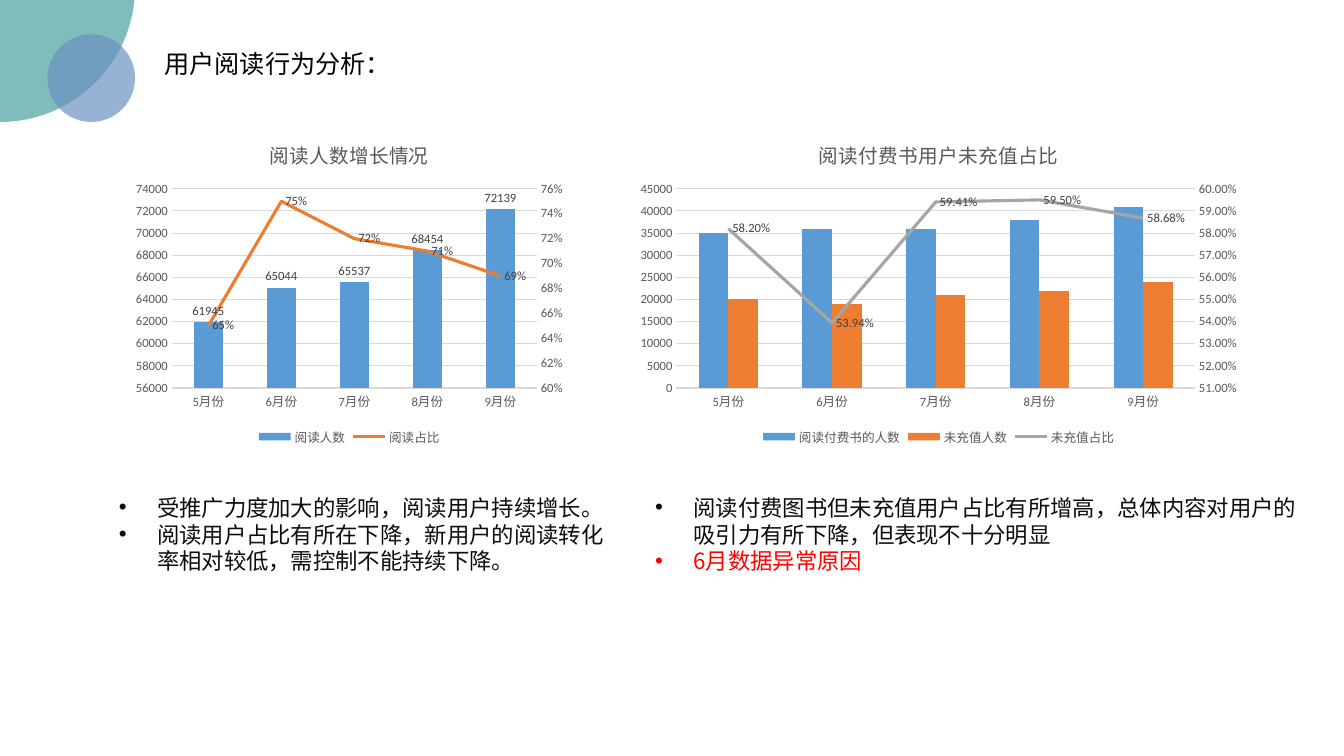
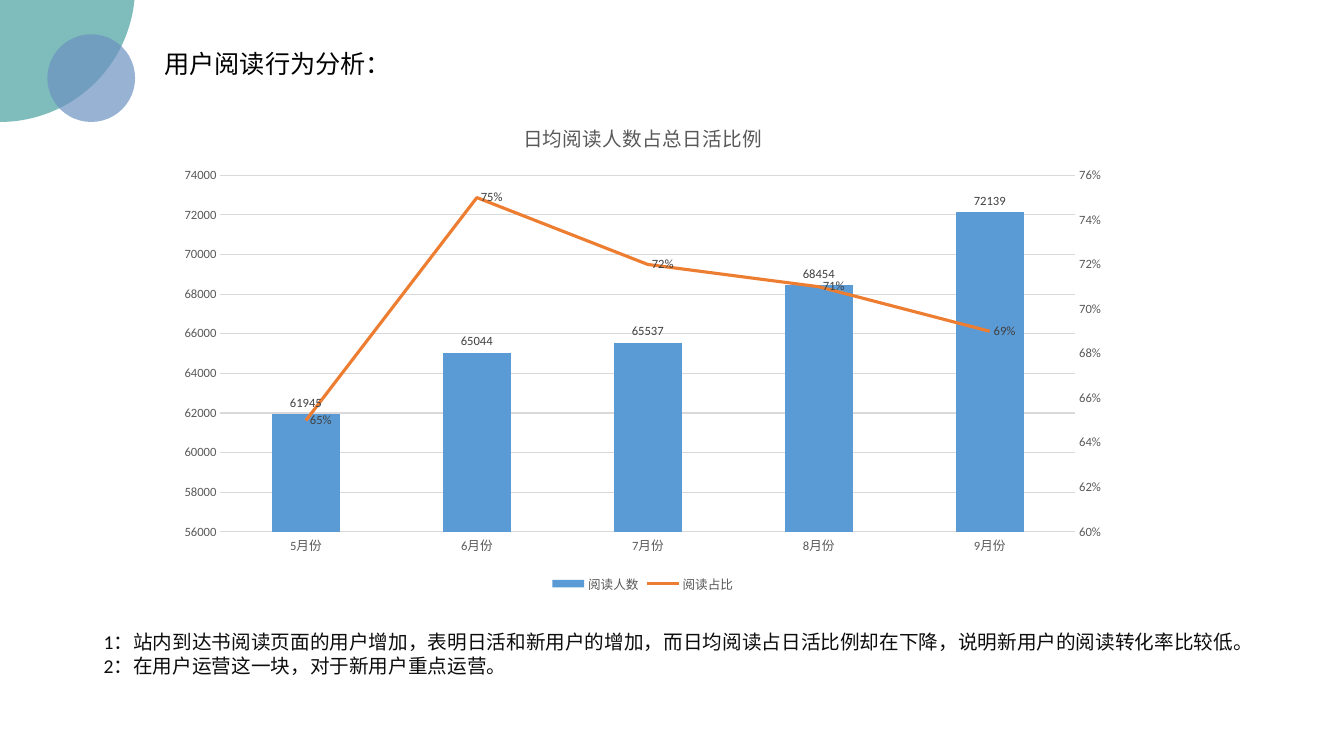
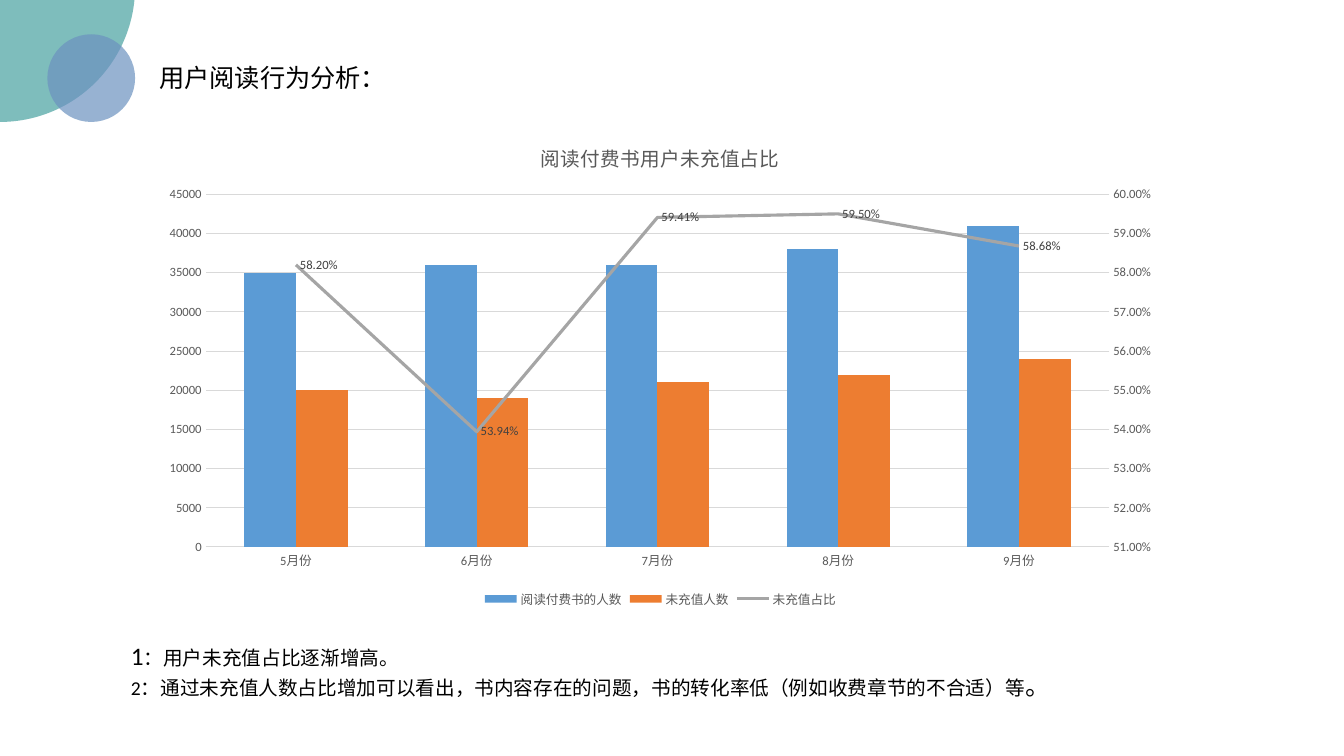
from copy import deepcopy
from dataclasses import dataclass

from lxml.etree import SubElement
from pptx import Presentation
from pptx.chart.axis import CategoryAxis, ValueAxis
from pptx.chart.data import CategoryChartData
from pptx.dml.color import RGBColor
from pptx.enum.chart import XL_CHART_TYPE as ChartType
from pptx.enum.chart import XL_LABEL_POSITION as LabelPosition
from pptx.enum.chart import XL_LEGEND_POSITION as LegendPosition
from pptx.enum.chart import XL_MARKER_STYLE as MarkerStyle
from pptx.enum.chart import XL_TICK_MARK as TickMark
from pptx.enum.shapes import MSO_SHAPE as Shape
from pptx.enum.text import MSO_ANCHOR as Anchor
from pptx.enum.text import MSO_AUTO_SIZE as AutoSize
from pptx.enum.text import PP_ALIGN as Align
from pptx.oxml import parse_xml
from pptx.oxml.ns import nsdecls, qn
from pptx.util import Inches, Pt

LATIN, CHINESE = "Calibri", "Noto Sans CJK SC"
TEAL, BLUE = "48A2A0", "6C92C0"
BLACK, INK, RED = "000000", "0D0D0D", "FF0000"
GREY, LABEL_GREY, GRID_GREY = "595959", "404040", "D9D9D9"
SERIES_COLORS = ["5B9BD5", "ED7D31", "A5A5A5"]
MONTHS = ["5月份", "6月份", "7月份", "8月份", "9月份"]
TITLE = "用户阅读行为分析："


@dataclass
class Combo:
    """Bars on the left axis and one line on the right axis."""
    bars: dict
    line_name: str
    shares: list
    share_format: str
    left_scale: tuple
    right_scale: tuple
    label_bars: bool = False


READERS = Combo(
    {"阅读人数": [61945, 65044, 65537, 68454, 72139]},
    "阅读占比", [0.65, 0.75, 0.72, 0.71, 0.69], "0%",
    (56000, 74000, 2000), (0.6, 0.76, 0.02), True)
UNPAID = Combo(
    {"阅读付费书的人数": [35000, 36000, 36000, 38000, 41000],
     "未充值人数": [20000, 19000, 21000, 22000, 24000]},
    "未充值占比", [0.582, 0.5394, 0.5941, 0.595, 0.5868], "0.00%",
    (0, 45000, 5000), (0.51, 0.6, 0.01))


def rgb(color):
    """Turn a hex string into a colour."""
    return RGBColor.from_string(color)


def set_font(font, size, color, name=LATIN):
    """Set size, colour and typeface of a font."""
    font.size, font.name = Pt(size), name
    font.color.rgb = rgb(color)


def add_circle(page, left, top, size, color):
    """Add a translucent circle."""
    circle = page.shapes.add_shape(
        Shape.OVAL, Inches(left), Inches(top), Inches(size), Inches(size))
    circle.shadow.inherit = False
    circle.line.fill.background()
    circle.fill.solid()
    circle.fill.fore_color.rgb = rgb(color)
    fill_color = circle._element.spPr.find(".//" + qn("a:srgbClr"))
    SubElement(fill_color, qn("a:alpha"), val="70000")


def add_page(deck, title_left=1.53, title_top=0.43):
    """Add a slide with corner circles and the shared title."""
    page = deck.slides.add_slide(deck.slide_layouts[5])
    add_circle(page, -1.34, -1.47, 2.68, TEAL)
    add_circle(page, 0.47, 0.34, 0.87, BLUE)
    title = page.shapes.title
    title.left, title.top = Inches(title_left), Inches(title_top)
    title.width, title.height = Inches(4.32), Inches(0.4)
    frame = title.text_frame
    frame.text = TITLE
    frame.auto_size = AutoSize.NONE
    frame.vertical_anchor = Anchor.TOP
    para = frame.paragraphs[0]
    para.alignment = Align.LEFT
    set_font(para.font, 18, BLACK)
    return page


def add_frame(page, box):
    """Add a wrapping text box and return its frame."""
    frame = page.shapes.add_textbox(*map(Inches, box)).text_frame
    frame.word_wrap = True
    return frame


def next_para(frame, index):
    """Return the first paragraph of a frame, or a new one."""
    return frame.add_paragraph() if index else frame.paragraphs[0]


def add_bullets(page, box, items):
    """Add a bulleted list of (text, colour) items."""
    frame = add_frame(page, box)
    for index, (text, color) in enumerate(items):
        para = next_para(frame, index)
        props = para._p.get_or_add_pPr()
        props.set("marL", str(Inches(0.38)))
        props.set("indent", str(-Inches(0.38)))
        SubElement(props, qn("a:buFont"), typeface="Arial")
        SubElement(props, qn("a:buChar"), char="•")
        para.text = text
        set_font(para.font, 16, color, CHINESE)


def add_remarks(page, box, lines, color):
    """Add lines of text, each a list of (text, size) spans."""
    frame = add_frame(page, box)
    for index, spans in enumerate(lines):
        para = next_para(frame, index)
        set_font(para.font, 14, color)
        for text, size in spans:
            span = para.add_run()
            span.text = text
            if size != 14:
                span.font.size = Pt(size)


def style_axis(axis):
    """Apply the look common to all axes."""
    axis.major_tick_mark = axis.minor_tick_mark = TickMark.NONE
    set_font(axis.tick_labels.font, 9, GREY)


def set_scale(axis, scale):
    """Set minimum, maximum and step of a value axis."""
    axis.minimum_scale, axis.maximum_scale, axis.major_unit = scale


def set_labels(series, position, number_format="General"):
    """Show the values of a series."""
    labels = series.data_labels
    labels.show_value = True
    labels.number_format = number_format
    labels.number_format_is_linked = False
    labels.position = position
    set_font(labels.font, 9, LABEL_GREY)


def move_last_to_right(chart, combo):
    """Turn the last bar series into a line on a right-hand axis."""
    bar_plot = chart.plots[0]._element
    line_plot = parse_xml(
        f'<c:lineChart {nsdecls("c")}><c:grouping val="standard"/>'
        '<c:varyColors val="0"/><c:marker val="1"/>'
        '<c:axId val="5001"/><c:axId val="5002"/></c:lineChart>')
    moved = bar_plot.findall(qn("c:ser"))[-1]
    for bar_only in moved.findall(qn("c:invertIfNegative")):
        moved.remove(bar_only)
    line_plot.insert(2, moved)
    bar_plot.addnext(line_plot)

    left_axis = chart.value_axis._element
    months = deepcopy(chart.category_axis._element)
    right = deepcopy(left_axis)
    left_axis.addnext(months)
    months.addnext(right)
    for element, own, other in ((months, "5001", "5002"),
                                (right, "5002", "5001")):
        element.find(qn("c:axId")).set("val", own)
        element.find(qn("c:crossAx")).set("val", other)
    right.find(qn("c:axPos")).set("val", "r")
    right.find(qn("c:crosses")).set("val", "max")
    CategoryAxis(months).visible = False
    right_axis = ValueAxis(right)
    right_axis.has_major_gridlines = False
    right_axis.tick_labels.number_format = combo.share_format
    right_axis.tick_labels.number_format_is_linked = False
    set_scale(right_axis, combo.right_scale)


def add_combo(page, box, title, combo):
    """Add a combined column and line chart."""
    data = CategoryChartData()
    data.categories = MONTHS
    for name, values in combo.bars.items():
        data.add_series(name, values)
    data.add_series(combo.line_name, combo.shares, combo.share_format)
    chart = page.shapes.add_chart(
        ChartType.COLUMN_CLUSTERED, *map(Inches, box), data).chart
    set_font(chart.font, 10, BLACK)

    chart.has_title = True
    chart.chart_title.include_in_layout = False
    heading = chart.chart_title.text_frame
    heading.text = title
    set_font(heading.paragraphs[0].font, 14, GREY)
    heading.paragraphs[0].font.bold = False
    chart.has_legend = True
    chart.legend.position = LegendPosition.BOTTOM
    chart.legend.include_in_layout = False
    set_font(chart.legend.font, 9, GREY)

    months, counts = chart.category_axis, chart.value_axis
    style_axis(months)
    style_axis(counts)
    months.format.line.color.rgb = rgb(GRID_GREY)
    months.format.line.width = Pt(0.75)
    counts.format.line.fill.background()
    grid = counts.major_gridlines.format.line
    grid.color.rgb, grid.width = rgb(GRID_GREY), Pt(0.75)
    set_scale(counts, combo.left_scale)
    move_last_to_right(chart, combo)

    bars, lines = chart.plots
    bars.gap_width = 150
    bars.vary_by_categories = lines.vary_by_categories = False
    for series, color in zip(bars.series, SERIES_COLORS):
        series.format.fill.solid()
        series.format.fill.fore_color.rgb = rgb(color)
        if combo.label_bars:
            set_labels(series, LabelPosition.OUTSIDE_END)
    share = lines.series[0]
    share.smooth = False
    share.marker.style = MarkerStyle.NONE
    share.format.line.color.rgb = rgb(SERIES_COLORS[len(combo.bars)])
    share.format.line.width = Pt(2.25)
    set_labels(share, LabelPosition.RIGHT, combo.share_format)


def build_overview(deck):
    """Build the slide with two charts side by side."""
    page = add_page(deck)
    add_combo(page, (1.26, 1.22, 4.41, 3.24), "阅读人数增长情况", READERS)
    add_combo(page, (6.23, 1.22, 6.16, 3.24), "阅读付费书用户未充值占比", UNPAID)
    add_bullets(page, (1.08, 4.85, 5.14, 0.91), [
        ("受推广力度加大的影响，阅读用户持续增长。", INK),
        ("阅读用户占比有所在下降，新用户的阅读转化率相对较低，需控制不能持续下降。", INK)])
    add_bullets(page, (6.4, 4.85, 6.67, 0.91), [
        ("阅读付费图书但未充值用户占比有所增高，总体内容对用户的吸引力有所下降，但表现不十分明显", INK),
        ("6月数据异常原因", RED)])


def build_readers(deck):
    """Build the slide on daily readers."""
    page = add_page(deck)
    add_combo(page, (1.64, 1.02, 9.47, 4.9), "日均阅读人数占总日活比例", READERS)
    add_remarks(page, (0.93, 6.2, 11.46, 0.57), [
        [("1：站内到达书阅读页面的用户增加，表明日活和新用户的增加，"
          "而日均阅读占日活比例却在下降，说明新用户的阅读转化率比较低。", 14)],
        [("2：在用户运营这一块，对于新用户重点运营。", 14)]], INK)


def build_unpaid(deck):
    """Build the slide on readers who have not paid."""
    page = add_page(deck, 1.48, 0.57)
    add_combo(page, (1.48, 1.21, 10.14, 4.86), "阅读付费书用户未充值占比", UNPAID)
    add_remarks(page, (1.2, 6.3, 11.66, 1.01), [
        [("1", 18), ("：用户未充值占比逐渐增高。", 14)],
        [("2：通过未充值人数占比增加可以看出，书内容存在的问题，"
          "书的转化率低（例如收费章节的不合适）等", 14), ("。", 18)]], BLACK)


def main():
    """Build and save the deck."""
    deck = Presentation()
    deck.slide_width, deck.slide_height = Inches(13.33), Inches(7.5)
    build_overview(deck)
    build_readers(deck)
    build_unpaid(deck)
    deck.save("out.pptx")


if __name__ == "__main__":
    main()
